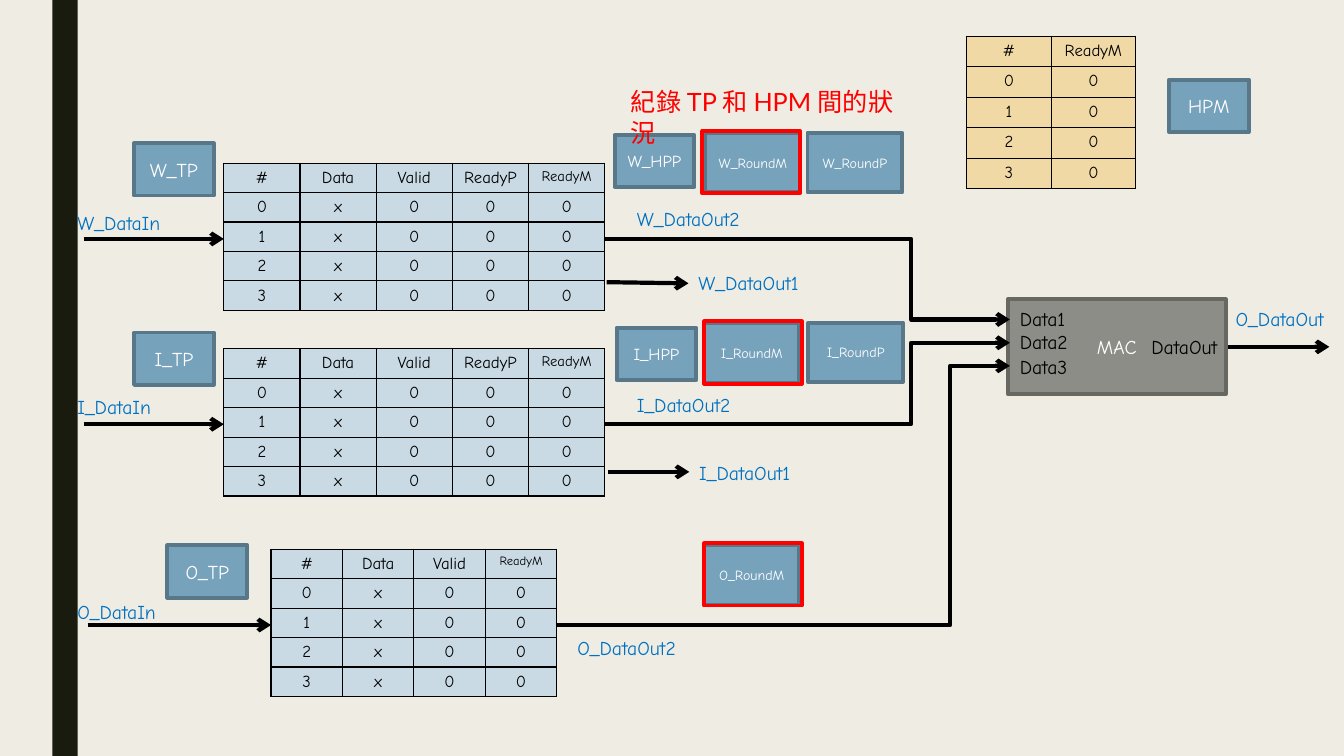
from dataclasses import dataclass

from lxml import etree
from pptx import Presentation
from pptx.dml.color import RGBColor
from pptx.enum.shapes import MSO_CONNECTOR, MSO_SHAPE
from pptx.enum.text import MSO_ANCHOR, MSO_AUTO_SIZE, PP_ALIGN
from pptx.oxml.ns import qn
from pptx.slide import Slide
from pptx.util import Cm, Pt

CENTER, LEFT, RIGHT = PP_ALIGN.CENTER, PP_ALIGN.LEFT, PP_ALIGN.RIGHT
MIDDLE = MSO_ANCHOR.MIDDLE
GROW = MSO_AUTO_SIZE.SHAPE_TO_FIT_TEXT
RECTANGLE = MSO_SHAPE.RECTANGLE
STRAIGHT, ELBOW = MSO_CONNECTOR.STRAIGHT, MSO_CONNECTOR.ELBOW

BLACK = RGBColor(0x00, 0x00, 0x00)
WHITE = RGBColor(0xFF, 0xFF, 0xFF)
RED = RGBColor(0xFF, 0x00, 0x00)
SIGNAL_BLUE = RGBColor(0x00, 0x70, 0xC0)
BOX_BLUE = RGBColor(0x77, 0xA2, 0xBB)
BOX_EDGE = RGBColor(0x58, 0x78, 0x8A)
MAC_GRAY = RGBColor(0x8C, 0x8D, 0x86)
MAC_EDGE = RGBColor(0x68, 0x68, 0x63)
TABLE_BLUE = RGBColor(0xC9, 0xDA, 0xE4)
TABLE_GOLD = RGBColor(0xF0, 0xD9, 0xA5)
CREAM = RGBColor(0xEF, 0xED, 0xE3)
DARK = RGBColor(0x19, 0x1B, 0x0E)
COMIC, LATO = "Comic Neue", "Lato"
ENTRIES = 4
SMALL, LARGE, FRAME = (2.01, 1.32), (2.39, 1.5), (2.46, 1.57)


# Positions and sizes are in centimetres
@dataclass
class StateTable:
    left: float
    top: float
    headers: list[str]
    column: float
    row: float = 0.71
    last_size: float = 12
    fill: RGBColor = TABLE_BLUE


@dataclass
class Block:
    left: float
    top: float
    size: tuple[float, float]
    text: str = ""
    points: float = 14
    fill: RGBColor | None = BOX_BLUE
    edge: RGBColor | None = BOX_EDGE


@dataclass
class Label:
    text: str
    left: float
    top: float
    width: float
    color: RGBColor = SIGNAL_BLUE
    align: PP_ALIGN = LEFT
    points: float = 14
    font: str = COMIC
    height: float = 0.86
    wrap: bool = False


@dataclass
class Wire:
    start: tuple[float, float]
    end: tuple[float, float]
    turn: float | None = None


TABLES = [
    StateTable(5.64, 4.11, ["#", "Data", "Valid", "ReadyP", "ReadyM"], 1.92, last_size=10.5),
    StateTable(24.36, 0.91, ["#", "ReadyM"], 2.13, row=0.77, fill=TABLE_GOLD),
    StateTable(5.64, 8.79, ["#", "Data", "Valid", "ReadyP", "ReadyM"], 1.92, last_size=10.5),
    StateTable(6.83, 13.84, ["#", "Data", "Valid", "ReadyM"], 1.8, last_size=9),
]
BLOCKS = [
    Block(1.32, 0, (0.64, 19.05), fill=DARK, edge=None),
    Block(25.4, 7.54, (5.49, 2.39), "MAC", fill=MAC_GRAY, edge=MAC_EDGE),
    Block(15.49, 3.4, SMALL, "W_HPP", 12),
    Block(15.54, 8.26, SMALL, "I_HPP", 12),
    Block(29.46, 2.01, SMALL, "HPM"),
    Block(3.38, 3.61, SMALL, "W_TP"),
    Block(3.38, 8.38, SMALL, "I_TP"),
    Block(4.22, 13.74, SMALL, "O_TP"),
    Block(17.78, 3.35, LARGE, "W_RoundM", 10),
    Block(17.75, 8.15, LARGE, "I_RoundM", 10),
    Block(17.75, 13.74, LARGE, "O_RoundM", 10),
    Block(20.35, 3.35, LARGE, "W_RoundP", 10),
    Block(20.37, 8.13, LARGE, "I_RoundP", 10),
    Block(17.7, 3.3, FRAME, fill=None, edge=RED),
    Block(17.75, 8.1, FRAME, fill=None, edge=RED),
    Block(17.75, 13.69, FRAME, fill=None, edge=RED),
]
LABELS = [
    Label("Data1", 25.45, 7.62, 1.83, BLACK),
    Label("Data2", 25.45, 8.2, 1.93, BLACK),
    Label("Data3", 25.45, 8.81, 1.93, BLACK),
    Label("DataOut", 28.42, 8.31, 2.51, BLACK, RIGHT),
    Label("W_DataIn", 1.7, 5.18, 2.97),
    Label("I_DataIn", 1.7, 9.83, 2.74),
    Label("O_DataIn", 1.7, 14.99, 2.87),
    Label("O_DataOut", 30.89, 7.62, 3.23),
    Label("W_DataOut1", 17.35, 6.71, 3.56),
    Label("I_DataOut1", 17.37, 11.48, 3.3),
    Label("W_DataOut2", 15.8, 5.08, 3.63),
    Label("I_DataOut2", 15.8, 9.78, 3.4),
    Label("O_DataOut2", 14.3, 15.9, 3.53),
    Label("紀錄 TP 和 HPM 間的狀況", 15.65, 2.06, 7.62, RED, LEFT, 18, LATO, 1.02, True),
]
WIRES = [
    Wire((15.24, 6.02), (25.45, 8.05), turn=22.96),
    Wire((15.24, 10.69), (25.45, 8.64), turn=22.96),
    Wire((14.05, 15.75), (25.45, 9.22), turn=23.95),
    Wire((30.94, 8.74), (33.5, 8.74)),
    Wire((2.11, 6.02), (5.64, 6.02)),
    Wire((2.11, 10.69), (5.64, 10.69)),
    Wire((2.21, 15.75), (6.83, 15.75)),
    Wire((15.29, 7.11), (17.35, 7.14)),
    Wire((15.32, 11.89), (17.37, 11.89)),
]


def style_paragraph(para, points: float, color: RGBColor, align: PP_ALIGN, font: str = COMIC) -> None:
    para.alignment = align
    para.font.name, para.font.size = font, Pt(points)
    para.font.color.rgb = color


def add_borders(cell) -> None:
    properties = cell._tc.get_or_add_tcPr()
    for side in ("a:lnL", "a:lnR", "a:lnT", "a:lnB"):
        border = etree.SubElement(properties, qn(side), w=str(Pt(1)))
        fill = etree.SubElement(border, qn("a:solidFill"))
        etree.SubElement(fill, qn("a:srgbClr"), val=str(BLACK))


def draw_table(page: Slide, spec: StateTable) -> None:
    columns, rows = len(spec.headers), ENTRIES + 1
    table = page.shapes.add_table(rows, columns, Cm(spec.left), Cm(spec.top),
                                  Cm(spec.column * columns), Cm(spec.row * rows)).table
    table.first_row = table.horz_banding = False
    for column in table.columns:
        column.width = Cm(spec.column)
    initial = {"Data": "x"}
    for r in range(rows):
        table.rows[r].height = Cm(spec.row)
        for c, header in enumerate(spec.headers):
            cell = table.cell(r, c)
            entry = str(r - 1) if c == 0 else initial.get(header, "0")
            cell.text = entry if r else header
            points = spec.last_size if r == 0 and c == columns - 1 else 12
            style_paragraph(cell.text_frame.paragraphs[0], points, BLACK, CENTER)
            add_borders(cell)
            cell.fill.solid()
            cell.fill.fore_color.rgb = spec.fill


def draw_block(page: Slide, block: Block) -> None:
    box = page.shapes.add_shape(RECTANGLE, Cm(block.left), Cm(block.top), *map(Cm, block.size))
    box.shadow.inherit = False
    if block.fill is None:
        box.fill.background()
    else:
        box.fill.solid()
        box.fill.fore_color.rgb = block.fill
    if block.edge is None:
        box.line.fill.background()
    else:
        box.line.color.rgb = block.edge
        box.line.width = Pt(2.75)
    if block.text:
        box.text_frame.text = block.text
        box.text_frame.vertical_anchor = MIDDLE
        style_paragraph(box.text_frame.paragraphs[0], block.points, WHITE, CENTER)


def draw_label(page: Slide, label: Label) -> None:
    box = page.shapes.add_textbox(Cm(label.left), Cm(label.top), Cm(label.width), Cm(label.height))
    frame = box.text_frame
    frame.text = label.text
    frame.word_wrap, frame.auto_size = label.wrap, GROW
    style_paragraph(frame.paragraphs[0], label.points, label.color, label.align, label.font)


def draw_wire(page: Slide, wire: Wire) -> None:
    kind = STRAIGHT if wire.turn is None else ELBOW
    line = page.shapes.add_connector(kind, *map(Cm, wire.start + wire.end))
    line.line.color.rgb = BLACK
    line.line.width = Pt(3)
    properties = line._element.spPr
    etree.SubElement(properties.find(qn("a:ln")), qn("a:tailEnd"), type="arrow")
    etree.SubElement(properties, qn("a:effectLst"))
    if wire.turn is not None:
        share = (wire.turn - wire.start[0]) / (wire.end[0] - wire.start[0])
        guides = properties.find(qn("a:prstGeom")).find(qn("a:avLst"))
        etree.SubElement(guides, qn("a:gd"), name="adj1", fmla=f"val {round(share * 100000)}")


def main() -> None:
    deck = Presentation()
    deck.slide_width, deck.slide_height = Cm(33.87), Cm(19.05)
    page = deck.slides.add_slide(deck.slide_layouts[6])
    page.background.fill.solid()
    page.background.fill.fore_color.rgb = CREAM
    for draw, items in ((draw_table, TABLES), (draw_block, BLOCKS),
                        (draw_wire, WIRES), (draw_label, LABELS)):
        for item in items:
            draw(page, item)
    deck.save("out.pptx")


if __name__ == "__main__":
    main()
